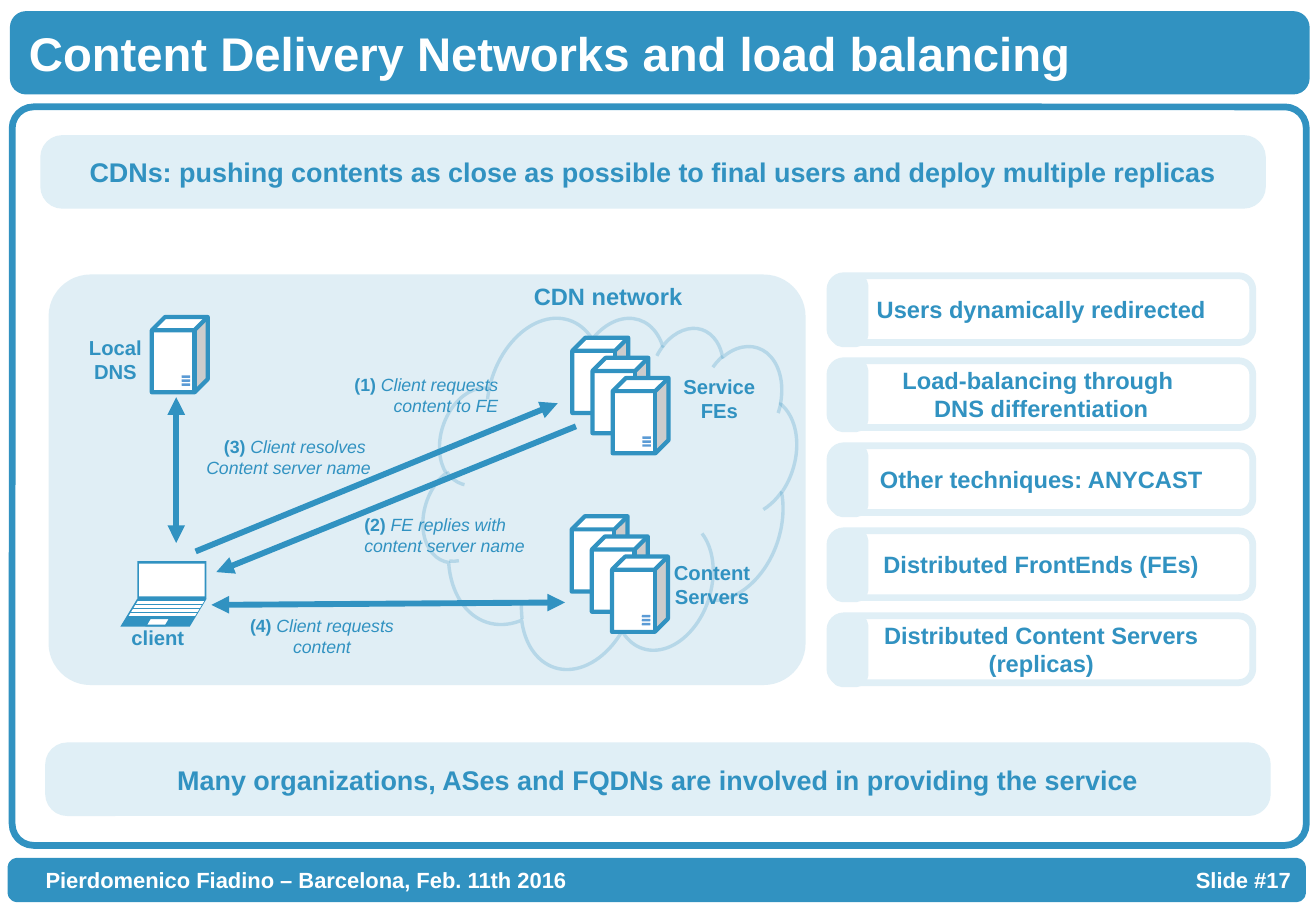
from dataclasses import dataclass
from lxml.etree import SubElement
from pptx import Presentation
from pptx.dml.color import RGBColor
from pptx.enum.shapes import MSO_CONNECTOR as Connector, MSO_SHAPE as Shape
from pptx.enum.text import MSO_ANCHOR as Anchor, MSO_AUTO_SIZE as AutoSize, PP_ALIGN as Align
from pptx.oxml.ns import qn
from pptx.util import Inches, Pt


@dataclass(frozen=True)
class Theme:
    font: str = "Arial"
    blue: str = "3192C1"
    pale: str = "E0EFF6"
    light: str = "5B9BD5"
    white: str = "FFFFFF"
    title: float = 28
    banner: float = 16
    topic: float = 14
    footer: float = 13
    label: float = 12
    step: float = 10.5
    frame_line: float = 4
    arrow_line: float = 3.5
    server_line: float = 2.5
    cloud_line: float = 2


THEME = Theme()
CELL = 0.1
COLUMNS, ROWS = 108.3, 75


def grid(*cells):
    return [Inches(cell * CELL) for cell in cells]


def set_opacity(parent, percent):
    color = parent.find(qn("a:solidFill"))[0]
    SubElement(color, qn("a:alpha"), val=str(percent * 1000))


def add_block(slide, kind, area, fill=None, line=None, width=THEME.frame_line, adjust=None):
    shape = slide.shapes.add_shape(kind, *grid(*area))
    shape.shadow.inherit = False
    if adjust is not None:
        shape.adjustments[0] = adjust
    if fill:
        shape.fill.solid()
        shape.fill.fore_color.rgb = RGBColor.from_string(fill)
    else:
        shape.fill.background()
    if line:
        shape.line.color.rgb = RGBColor.from_string(line)
        shape.line.width = Pt(width)
    else:
        shape.line.fill.background()
    return shape


def style_run(run, size, color, bold=True, italic=False):
    run.font.name = THEME.font
    run.font.size = Pt(size)
    run.font.bold = bold
    run.font.italic = italic
    run.font.color.rgb = RGBColor.from_string(color)


def write(shape, text, size, color=THEME.blue, align=Align.CENTER):
    shape.text_frame.text = text
    for paragraph in shape.text_frame.paragraphs:
        paragraph.alignment = align
        for run in paragraph.runs:
            style_run(run, size, color)


def add_label(slide, area, text, size=THEME.label, color=THEME.blue, align=Align.CENTER):
    label = slide.shapes.add_textbox(*grid(*area))
    label.text_frame.word_wrap = False
    label.text_frame.auto_size = AutoSize.SHAPE_TO_FIT_TEXT
    write(label, text, size, color, align)
    return label


def add_step(slide, area, number, text, align):
    frame = slide.shapes.add_textbox(*grid(*area)).text_frame
    frame.word_wrap = True
    frame.auto_size = AutoSize.SHAPE_TO_FIT_TEXT
    frame.text = text
    first = frame.paragraphs[0]
    first.text = f"({number})"
    style_run(first.runs[0], THEME.step, THEME.blue)
    first.add_run().text = " " + text.split("\n")[0]
    for paragraph in frame.paragraphs:
        paragraph.alignment = align
        style_run(paragraph.runs[-1], THEME.step, THEME.blue, bold=False, italic=True)


def add_arrow(slide, ends, heads):
    arrow = slide.shapes.add_connector(Connector.STRAIGHT, *grid(*ends))
    arrow.line.color.rgb = RGBColor.from_string(THEME.blue)
    arrow.line.width = Pt(THEME.arrow_line)
    line = arrow._element.spPr.find(qn("a:ln"))
    for head in heads:
        SubElement(line, qn(f"a:{head}"), type="triangle")
    SubElement(arrow._element.spPr, qn("a:effectLst"))


def add_server(slide, left, top):
    add_block(slide, Shape.CUBE, (left, top, 4.6, 6.2), THEME.white, THEME.blue,
              THEME.server_line, 0.236)
    for light in range(3):
        add_block(slide, Shape.ROUNDED_RECTANGLE,
                  (left + 2.45, top + 4.8 + 0.33 * light, 0.7, 0.2), THEME.light)


def add_server_stack(slide, left, top):
    for depth in range(3):
        add_server(slide, left + 1.66 * depth, top + 1.66 * depth)


def add_laptop(slide, left, top):
    slant = 0.603
    add_block(slide, Shape.PARALLELOGRAM, (left, top + 3.1, 7.1, 2.3), THEME.blue, adjust=slant)
    add_block(slide, Shape.PARALLELOGRAM, (left + 2.1, top + 4.7, 2, 0.6), THEME.white,
              THEME.blue, 1, slant)
    add_block(slide, Shape.RECTANGLE, (left + 1.4, top, 5.7, 3.1), THEME.blue)
    add_block(slide, Shape.RECTANGLE, (left + 1.55, top + 0.2, 5.4, 2.7), THEME.white)
    for key_row in range(4):
        add_block(slide, Shape.PARALLELOGRAM,
                  (left + 1.3 - 0.2 * key_row, top + 3.3 + 0.33 * key_row, 5.6, 0.22),
                  THEME.white, adjust=slant)


def add_banner(slide, left, top, text):
    banner = add_block(slide, Shape.ROUNDED_RECTANGLE, (left, top, 100.3, 5.5),
                       THEME.pale, THEME.pale, adjust=0.28)
    write(banner, text, THEME.banner)


def add_topic(slide, top, text):
    topic = add_block(slide, Shape.ROUNDED_RECTANGLE, (68.3, top, 34.8, 5.5),
                      line=THEME.pale, adjust=0.208)
    write(topic, text, THEME.topic)
    add_block(slide, Shape.ROUNDED_RECTANGLE, (68.6, top + 0.1, 2.6, 5.5),
              THEME.pale, THEME.pale, adjust=0.292)


def add_frame(slide):
    add_block(slide, Shape.ROUNDED_RECTANGLE, (1, 8.8, 106.5, 60.8), line=THEME.blue, adjust=0.029)
    title = add_block(slide, Shape.ROUNDED_RECTANGLE, (1.1, 1.2, 106.4, 6.3), THEME.blue, THEME.blue)
    write(title, "Content Delivery Networks and load balancing", THEME.title, THEME.white, Align.LEFT)
    footer = add_block(slide, Shape.ROUNDED_RECTANGLE, (0.9, 70.9, 106.3, 3.1), THEME.blue, THEME.blue)
    footer.text_frame.margin_left = Inches(0.27)
    write(footer, "Pierdomenico Fiadino – Barcelona, Feb. 11th 2016", THEME.footer,
          THEME.white, Align.LEFT)
    number = add_label(slide, (96, 70.9, 11.2, 3.1), "Slide #17", THEME.footer, THEME.white, Align.RIGHT)
    number.text_frame.word_wrap = True
    number.text_frame.auto_size = AutoSize.NONE
    number.text_frame.vertical_anchor = Anchor.MIDDLE


def add_network(slide):
    panel = add_block(slide, Shape.ROUNDED_RECTANGLE, (4, 22.6, 62.3, 33.8), THEME.blue, adjust=0.102)
    set_opacity(panel._element.spPr, 15)
    cloud = add_block(slide, Shape.CLOUD, (35.5, 25.3, 29.1, 30.2), line=THEME.blue,
                      width=THEME.cloud_line)
    cloud.rotation = 18.1
    set_opacity(cloud._element.spPr.find(qn("a:ln")), 24)
    both = ("headEnd", "tailEnd")
    for ends, heads in (
        ((14.5, 44.7, 14.5, 32.7), both),
        ((17.4, 49.8, 46.5, 49.6), both),
        ((16.1, 45.4, 45.9, 33.2), both[1:]),
        ((17.8, 47.1, 47.4, 35.1), both[:1]),
    ):
        add_arrow(slide, ends, heads)
    add_laptop(slide, 9.9, 46.2)
    add_server(slide, 12.5, 26.1)
    add_server_stack(slide, 47.1, 27.8)
    add_server_stack(slide, 47.05, 42.5)
    for area, text in (
        ((9.8, 51, 6.4, 3), "client"),
        ((54.4, 45.6, 8.4, 5), "Content\nServers"),
        ((6.3, 27.1, 6.4, 5), "Local\nDNS"),
        ((55.2, 30.3, 8, 5), "Service\nFEs"),
    ):
        add_label(slide, area, text)
    add_label(slide, (42.9, 22.7, 14.3, 3.4), "CDN network", THEME.topic)
    for number, area, text, align in (
        (1, (28, 30.3, 14, 4.7), "Client requests content to FE", Align.RIGHT),
        (2, (29, 41.8, 17, 4.7), "FE replies with content server name", Align.LEFT),
        (3, (14.4, 35.4, 17.1, 4.5), "Client resolves \nContent server name", Align.RIGHT),
        (4, (19.2, 50.1, 14.6, 4.7), "Client requests content", Align.CENTER),
    ):
        add_step(slide, area, number, text, align)


def main():
    presentation = Presentation()
    presentation.slide_width, presentation.slide_height = grid(COLUMNS, ROWS)
    slide = presentation.slides.add_slide(presentation.slide_layouts[6])
    add_frame(slide)
    add_banner(slide, 3.6, 11.4, "CDNs: pushing contents as close as possible to final users "
                                 "and deploy multiple replicas")
    add_network(slide)
    topics = ("Users dynamically redirected", "Load-balancing through \nDNS differentiation",
              "Other techniques: ANYCAST", "Distributed FrontEnds (FEs)",
              "Distributed Content Servers (replicas)")
    for row, text in enumerate(topics):
        add_topic(slide, 22.7 + 7 * row, text)
    add_banner(slide, 4, 61.4, "Many organizations, ASes and FQDNs are involved in providing the service")
    presentation.save("out.pptx")


if __name__ == "__main__":
    main()
